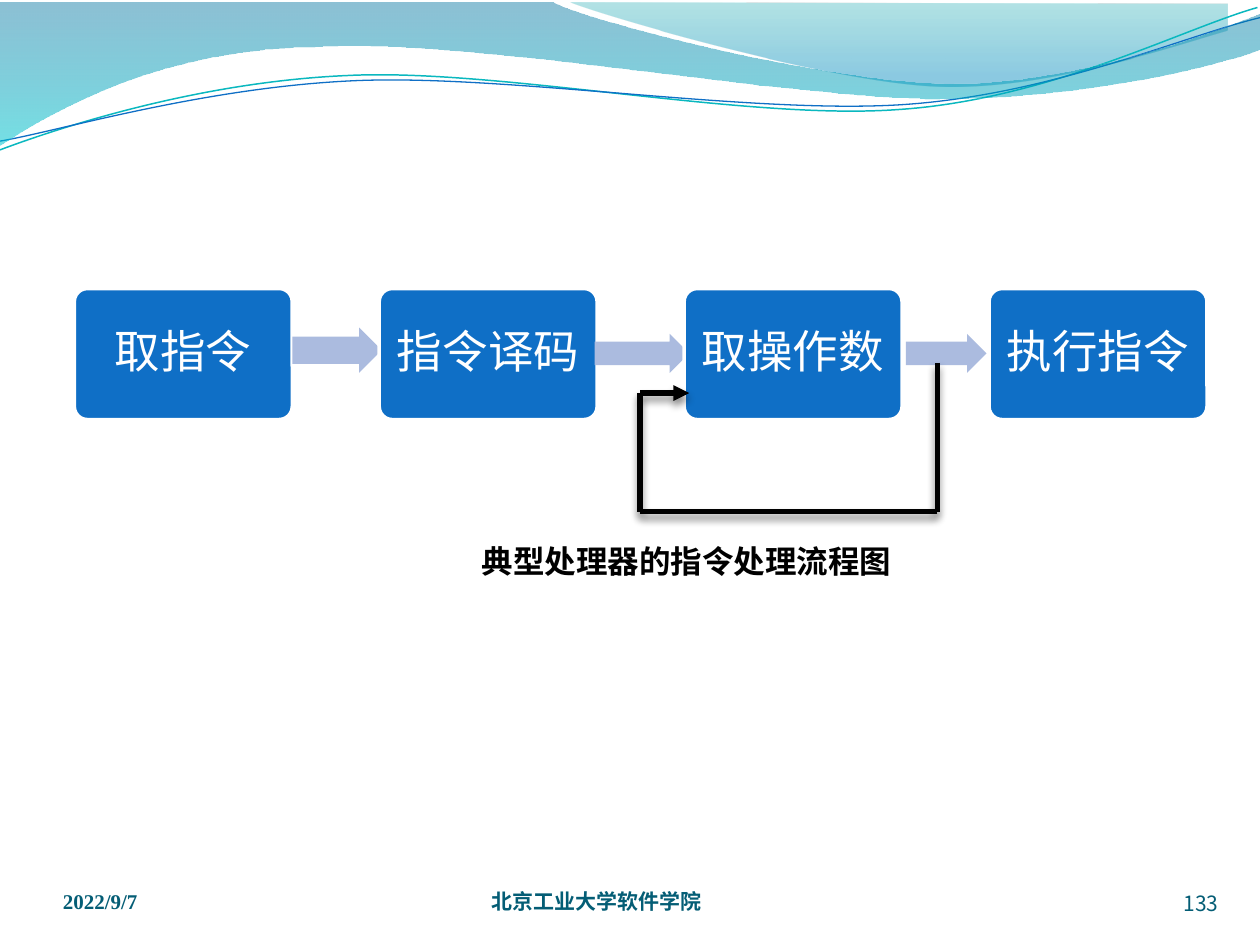
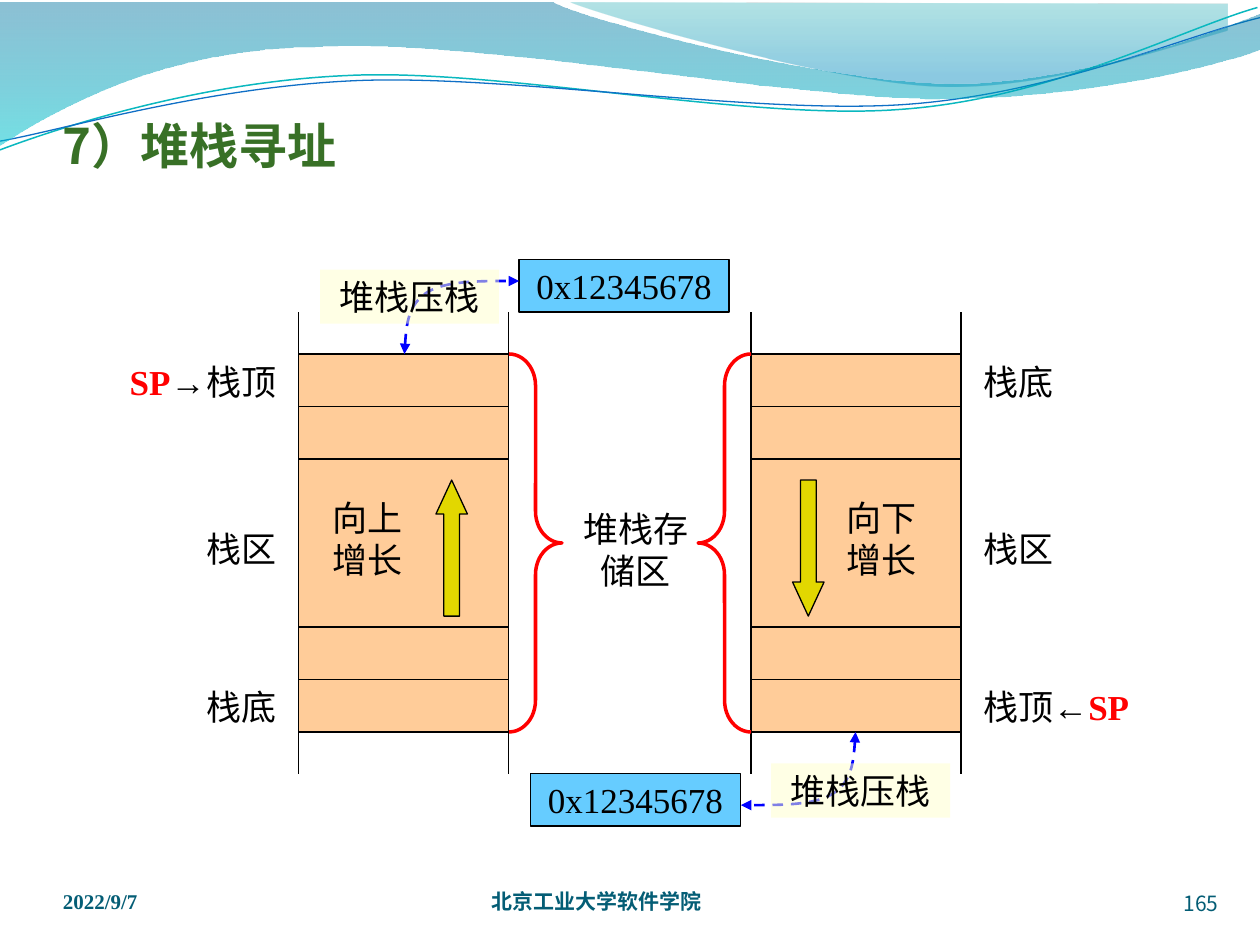
import pptx
import pptx.util
import pptx.dml.color
import pptx.enum.dml
import pptx.enum.shapes
import pptx.enum.text
import pptx.oxml
import pptx.oxml.ns

Inches = pptx.util.Inches
Pt = pptx.util.Pt
SHAPE = pptx.enum.shapes.MSO_SHAPE
ALIGN = pptx.enum.text.PP_ALIGN
ANCHOR = pptx.enum.text.MSO_ANCHOR
qn = pptx.oxml.ns.qn

COLORS = {
    "white": "FFFFFF", "black": "000000", "blue": "0F6FC6", "teal": "0AB8BF",
    "footer": "045D75", "flow": "ABBBDF", "title": "387026", "red": "FF0000",
    "cell": "FFCC99", "value": "66CCFF", "growth": "E2D700", "push": "0000FF",
    "note": "FFFFCC", "crest_top": "00A1A9", "crest_end": "008BBF",
    "band_top": "0074A1", "band_end": "00C6CF",
}
SANS = "Noto Sans CJK SC"
SERIF = "Times New Roman"

CREST = [(4.53, 0.02), (4.83, 0.14, 6.56, 0.64, 7.42, 0.68),
         (8.29, 0.72, 9.35, 0.35, 9.74, 0.24), (9.74, 0.03)]
BAND = [(-0.01, 0.02), (4.39, 0.02), (4.75, 0.19, 6.62, 0.66, 7.57, 0.66),
        (8.52, 0.66, 9.57, 0.28, 9.99, 0.11), (10, 0.39),
        (9.82, 0.47, 8.69, 0.78, 7.45, 0.78), (6.21, 0.78, 3.81, 0.31, 2.56, 0.37),
        (1.28, 0.38, 0.45, 0.86, -0.02, 1.16)]
WAVES = [
    ("teal", 0.85, [(0, 1.19), (0.48, 1.01, 1.58, 0.65, 2.76, 0.6),
                    (3.95, 0.54, 5.92, 0.96, 7.13, 0.87),
                    (8.33, 0.79, 9.38, 0.23, 9.98, 0.06)]),
    ("blue", 0.75, [(0, 1.12), (0.47, 1.04, 1.63, 0.69, 2.83, 0.64),
                    (4.02, 0.59, 5.97, 0.91, 7.17, 0.83),
                    (8.36, 0.75, 9.41, 0.28, 10, 0.14)]),
]
DATE = "2022/9/7"
SCHOOL = "北京工业大学软件学院"

STAGES = ["取指令", "指令译码", "取操作数", "执行指令"]
STAGE_LEFT, STAGE_STEP = 0.59, 2.42
FLOW_ARROWS = [(2.32, 2.6, 0.71, 0.36), (4.72, 2.65, 0.75, 0.31), (7.19, 2.65, 0.64, 0.31)]
FEEDBACK = [(7.44, 2.88), (7.44, 4.06), (5.08, 4.06), (5.08, 3.12), (5.47, 3.12)]
CAPTION = "典型处理器的指令处理流程图"

TITLE = "7）堆栈寻址"
STACK_TOP, STACK_WIDTH, ROW = 2.81, 5 / 3, 5 / 12
CELL_HEIGHTS = [ROW, ROW, 4 / 3, ROW, ROW]
LABEL_TOPS = [2.81, 4.14, 5.39]
STACKS = [
    {"left": 2.37, "labels_left": 1.46, "labels": ["栈顶", "栈区", "栈底"],
     "growth": "向上增长", "growth_left": 2.46, "arrow": SHAPE.UP_ARROW, "arrow_left": 3.46,
     "brace": SHAPE.RIGHT_BRACE, "brace_left": 4.04,
     "pointer": [("SP", "red", True), ("→", "black", False)], "pointer_at": (0.87, 2.81)},
    {"left": 5.96, "labels_left": 7.62, "labels": ["栈底", "栈区", "栈顶"],
     "growth": "向下增长", "growth_left": 6.54, "arrow": SHAPE.DOWN_ARROW, "arrow_left": 6.29,
     "brace": SHAPE.LEFT_BRACE, "brace_left": 5.54,
     "pointer": [("←", "black", False), ("SP", "red", True)], "pointer_at": (8.2, 5.39)},
]
STORAGE = "堆栈存储区"
VALUE = "0x12345678"
VALUE_SPOTS = [(4.21, 6.14), (4.12, 2.06)]
PUSH = "堆栈压栈"
PUSH_CURVE = [(3.21, 2.81), (3.22, 2.61, 3.24, 2.42, 3.39, 2.32),
              (3.54, 2.23, 3.83, 2.23, 4.12, 2.23)]
PUSH_SPOTS = [(2.54, 2.14), (6.12, 6.06)]
TURN_SUM = (10, 8.62)


def rgb(color):
    return pptx.dml.color.RGBColor.from_string(COLORS[color])


def element(tag, attributes="", inner=""):
    return pptx.oxml.parse_xml(
        f'<a:{tag} {pptx.oxml.ns.nsdecls("a")} {attributes}>{inner}</a:{tag}>')


def write(frame, text, size=20, font=SERIF, color="black", bold=False, align=ALIGN.CENTER,
          anchor=ANCHOR.TOP, wrap=True, margins=(0.1, 0.05, 0.1, 0.05), spacing=None):
    frame.word_wrap = wrap
    frame.vertical_anchor = anchor
    (frame.margin_left, frame.margin_top,
     frame.margin_right, frame.margin_bottom) = map(Inches, margins)
    paragraph = frame.paragraphs[0]
    paragraph.alignment = align
    if spacing:
        paragraph.line_spacing = spacing
    pieces = [(text, color, bold)] if isinstance(text, str) else text
    for words, tint, weight in pieces:
        run = paragraph.add_run()
        run.text = words
        run.font.size = Pt(size)
        run.font.name = font
        run.font.bold = weight
        run.font.color.rgb = rgb(tint)
        run.font._element.find(qn("a:latin")).addnext(element("ea", f'typeface="{SANS}"'))


def label(slide, box, text, **style):
    write(slide.shapes.add_textbox(*map(Inches, box)).text_frame, text, **style)


def paint(shape, fill=None, line=None, width=0.75):
    shape.shadow.inherit = False
    if fill:
        shape.fill.solid()
        shape.fill.fore_color.rgb = rgb(fill)
    else:
        shape.fill.background()
    if line:
        shape.line.color.rgb = rgb(line)
        shape.line.width = Pt(width)
    else:
        shape.line.fill.background()


def block(slide, kind, box, adjust=(), **look):
    shape = slide.shapes.add_shape(kind, *map(Inches, box))
    for index, value in enumerate(adjust):
        shape.adjustments[index] = value
    paint(shape, **look)
    return shape


def add_heads(line, *ends):
    for end in ends:
        line._get_or_add_ln().append(element(end, 'type="triangle"'))


def straight(slide, start, end, width, shadow=""):
    line = slide.shapes.add_connector(
        pptx.enum.shapes.MSO_CONNECTOR.STRAIGHT, *map(Inches, start + end))
    line.line.color.rgb = rgb("black")
    line.line.width = Pt(width)
    line._element.spPr.append(element("effectLst", inner=shadow))
    return line


def curve(slide, outline, close=False, **look):
    points = [(Inches(x), Inches(y)) for part in outline
              for x, y in zip(part[::2], part[1::2])]
    builder = slide.shapes.build_freeform(*points[0])
    builder.add_line_segments(points[1:], close=close)
    shape = builder.convert_to_shape()
    steps = iter(list(shape._element.iter(qn("a:lnTo"))))
    for part in outline[1:]:
        step = next(steps)
        if len(part) == 6:
            bend = element("cubicBezTo")
            step.addprevious(bend)
            for corner in (step, next(steps), next(steps)):
                bend.append(corner[0])
                corner.getparent().remove(corner)
    paint(shape, **look)
    return shape


def gradient(shape, *stops):
    marks = "".join(
        f'<a:gs pos="{position * 1000}"><a:srgbClr val="{COLORS[color]}">'
        f'<a:alpha val="{alpha * 1000}"/></a:srgbClr></a:gs>'
        for position, color, alpha in stops)
    properties = shape._element.spPr
    properties.replace(properties.find(qn("a:noFill")), element(
        "gradFill", inner=f'<a:gsLst>{marks}</a:gsLst><a:lin ang="5400000" scaled="0"/>'))


def new_slide(deck, number):
    slide = deck.slides.add_slide(deck.slide_layouts[6])
    gradient(curve(slide, CREST, close=True), (0, "crest_top", 30), (80, "crest_end", 45))
    for color, width, outline in WAVES:
        curve(slide, outline, line=color, width=width)
    gradient(curve(slide, BAND, close=True), (0, "band_top", 45), (100, "band_end", 55))
    footer = dict(size=12, color="footer", anchor=ANCHOR.BOTTOM, margins=(0, 0, 0, 0))
    label(slide, (0.5, 6.88, 2.33, 0.37), DATE, bold=True, align=ALIGN.LEFT, **footer)
    label(slide, (3.9, 6.88, 3.67, 0.37), SCHOOL, font=SANS, bold=True,
          align=ALIGN.LEFT, **footer)
    label(slide, (8.84, 6.9, 0.83, 0.37), number, font=SANS, align=ALIGN.RIGHT, **footer)
    return slide


def instruction_flow(deck):
    slide = new_slide(deck, "133")
    for index, stage in enumerate(STAGES):
        box = (STAGE_LEFT + index * STAGE_STEP, 2.29, 1.73, 1.04)
        shape = block(slide, SHAPE.ROUNDED_RECTANGLE, box, (0.1,),
                      fill="blue", line="white", width=2)
        write(shape.text_frame, stage, size=26, font=SANS, color="white",
              anchor=ANCHOR.MIDDLE, wrap=False, spacing=0.9)
        if index < len(FLOW_ARROWS):
            block(slide, SHAPE.RIGHT_ARROW, FLOW_ARROWS[index], (0.6, 0.5), fill="flow")
    shadow = (f'<a:outerShdw blurRad="{Pt(4.5)}" dist="{Pt(3)}" dir="5400000">'
              f'<a:srgbClr val="{COLORS["black"]}"><a:alpha val="48000"/></a:srgbClr>'
              '</a:outerShdw>')
    for start, end in zip(FEEDBACK, FEEDBACK[1:]):
        feedback = straight(slide, start, end, 3, shadow)
    add_heads(feedback.line, "tailEnd")
    label(slide, (3.71, 4.25, 3.48, 0.4), CAPTION, size=18, font=SANS, bold=True, wrap=False)


def draw_stack(slide, stack):
    left = stack["left"]
    top = STACK_TOP
    for height in CELL_HEIGHTS:
        block(slide, SHAPE.RECTANGLE, (left, top, STACK_WIDTH, height),
              fill="cell", line="black")
        top += height
    for rail in (left, left + STACK_WIDTH):
        straight(slide, (rail, 6.14), (rail, 2.48), 0.75)
    label(slide, (stack["growth_left"], 3.89, 0.92, 0.77), stack["growth"])
    block(slide, stack["arrow"], (stack["arrow_left"], 3.81, 0.25, 1.08), (0.5, 1.08),
          fill="growth", line="black")
    block(slide, stack["brace"], (stack["brace_left"], STACK_TOP, 0.42, 3), (0.6, 0.5),
          line="red", width=2)
    for words, label_top in zip(stack["labels"], LABEL_TOPS):
        label(slide, (stack["labels_left"], label_top, 0.92, 0.43), words)
    label(slide, stack["pointer_at"] + (0.92, 0.43), stack["pointer"])


def stack_addressing(deck):
    slide = new_slide(deck, "165")
    label(slide, (0.5, 0.76, 9, 0.62), TITLE, size=28, font=SANS, color="title", bold=True,
          align=ALIGN.LEFT, anchor=ANCHOR.BOTTOM, margins=(0, 0.05, 0, 0))
    for stack in STACKS:
        draw_stack(slide, stack)
    label(slide, (4.46, 3.98, 1.17, 0.77), STORAGE)
    for spot in VALUE_SPOTS:
        value = block(slide, SHAPE.RECTANGLE, spot + (STACK_WIDTH, ROW),
                      fill="value", line="black")
        write(value.text_frame, VALUE, anchor=ANCHOR.MIDDLE, wrap=False)
    turned = [tuple(TURN_SUM[i % 2] - v for i, v in enumerate(part)) for part in PUSH_CURVE]
    for outline, spot in zip((PUSH_CURVE, turned), PUSH_SPOTS):
        push = curve(slide, outline, line="push", width=1.5)
        push.line.dash_style = pptx.enum.dml.MSO_LINE.DASH
        add_heads(push.line, "headEnd", "tailEnd")
        note = block(slide, SHAPE.RECTANGLE, spot + (1.42, 0.43), fill="note")
        tint = note._element.spPr.find(qn("a:solidFill"))[0]
        tint.append(element("alpha", 'val="50000"'))
        write(note.text_frame, PUSH)


def main():
    deck = pptx.Presentation()
    deck.slide_width = Inches(10)
    deck.slide_height = Inches(7.5)
    instruction_flow(deck)
    stack_addressing(deck)
    deck.save("out.pptx")


if __name__ == "__main__":
    main()
